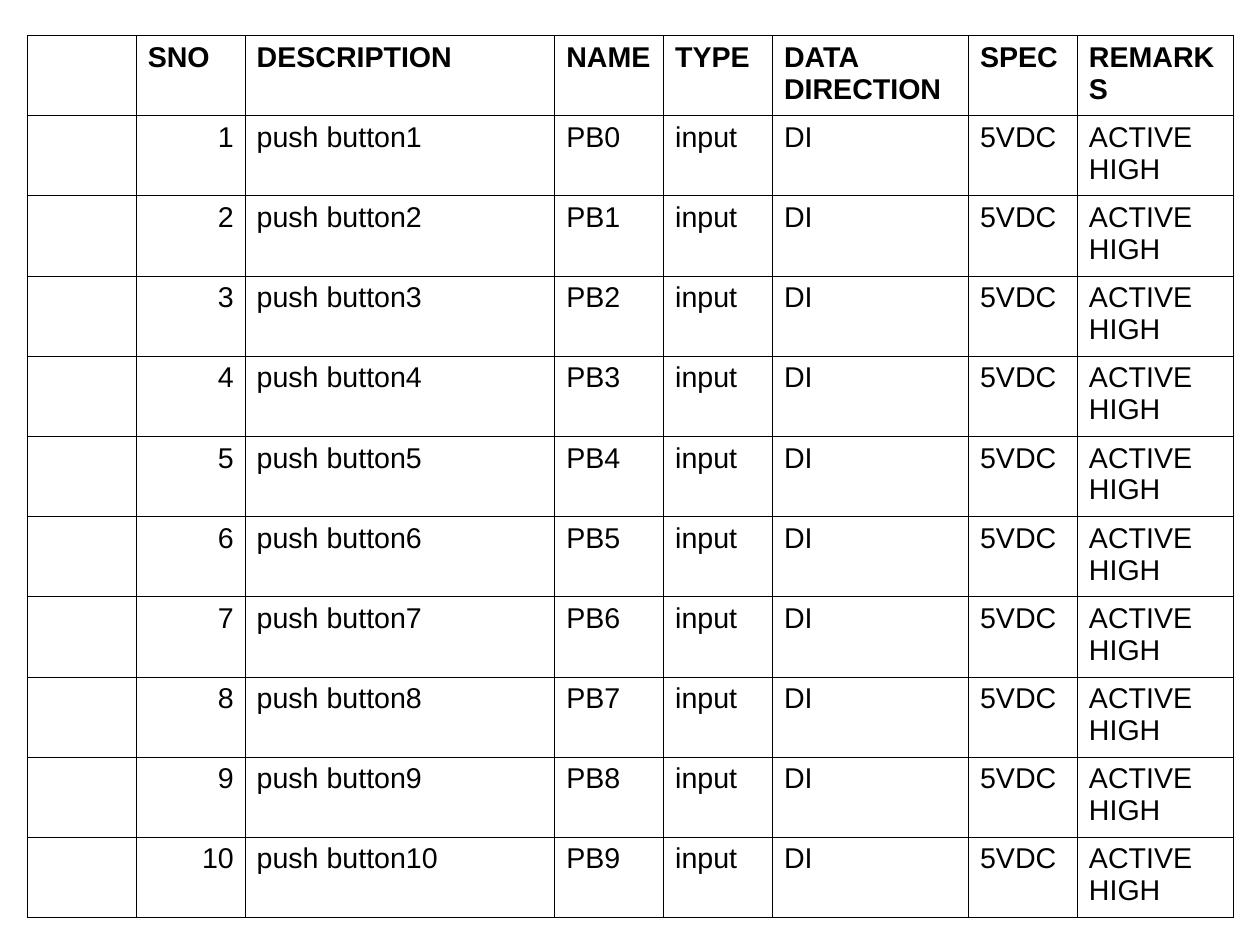
"""Builds a slide with a table of ten push-button inputs."""
from pptx import Presentation
from pptx import util as u
from pptx.dml.color import RGBColor
from pptx.enum import text
from pptx.oxml import parse_xml
from pptx.oxml.ns import nsdecls

HEADER = ("", "SNO", "DESCRIPTION", "NAME", "TYPE", "DATA DIRECTION", "SPEC", "REMARKS")
BUTTONS = [
    ("", str(number), f"push button{number}", f"PB{number - 1}",
     "input", "DI", "5VDC", "ACTIVE HIGH")
    for number in range(1, 11)
]
ROWS = [HEADER, *BUTTONS]
COLUMN_SHARES = (7, 7, 19.9, 7, 7, 12.6, 7, 10)
NUMBER_COLUMN = 1

SLIDE_WIDTH, SLIDE_HEIGHT = u.Cm(28), u.Cm(21)
LEFT, TOP = u.Inches(0.24), u.Inches(0.31)
WIDTH, HEIGHT = u.Inches(10.55), u.Inches(7.72)
BORDER_WIDTH = u.Pt(0.57)
BLACK = RGBColor(0, 0, 0)


def write(cell, words, bold=False, align=text.PP_ALIGN.LEFT, size=18, color=BLACK):
    para = cell.text_frame.paragraphs[0]
    para.alignment = align
    span = para.add_run()
    span.text = words
    span.font.name = "Arial"
    span.font.size = u.Pt(size)
    span.font.bold = bold
    span.font.color.rgb = color


def outline(cell):
    properties = cell._tc.get_or_add_tcPr()
    for side in "LRTB":
        properties.append(parse_xml(
            f'<a:ln{side} {nsdecls("a")} w="{int(BORDER_WIDTH)}"><a:solidFill>'
            f'<a:srgbClr val="{BLACK}"/></a:solidFill></a:ln{side}>'))


def main():
    deck = Presentation()
    deck.slide_width, deck.slide_height = SLIDE_WIDTH, SLIDE_HEIGHT
    page = deck.slides.add_slide(deck.slide_layouts[6])
    table = page.shapes.add_table(
        len(ROWS), len(HEADER), LEFT, TOP, WIDTH, HEIGHT).table
    table.horz_banding = False
    for column, share in zip(table.columns, COLUMN_SHARES):
        column.width = int(WIDTH * share / sum(COLUMN_SHARES))
    for r, row in enumerate(ROWS):
        for c, words in enumerate(row):
            cell = table.cell(r, c)
            outline(cell)
            cell.fill.background()
            if words:
                is_number = r > 0 and c == NUMBER_COLUMN
                align = text.PP_ALIGN.RIGHT if is_number else text.PP_ALIGN.LEFT
                write(cell, words, bold=r == 0, align=align)
    deck.save("out.pptx")


if __name__ == "__main__":
    main()
